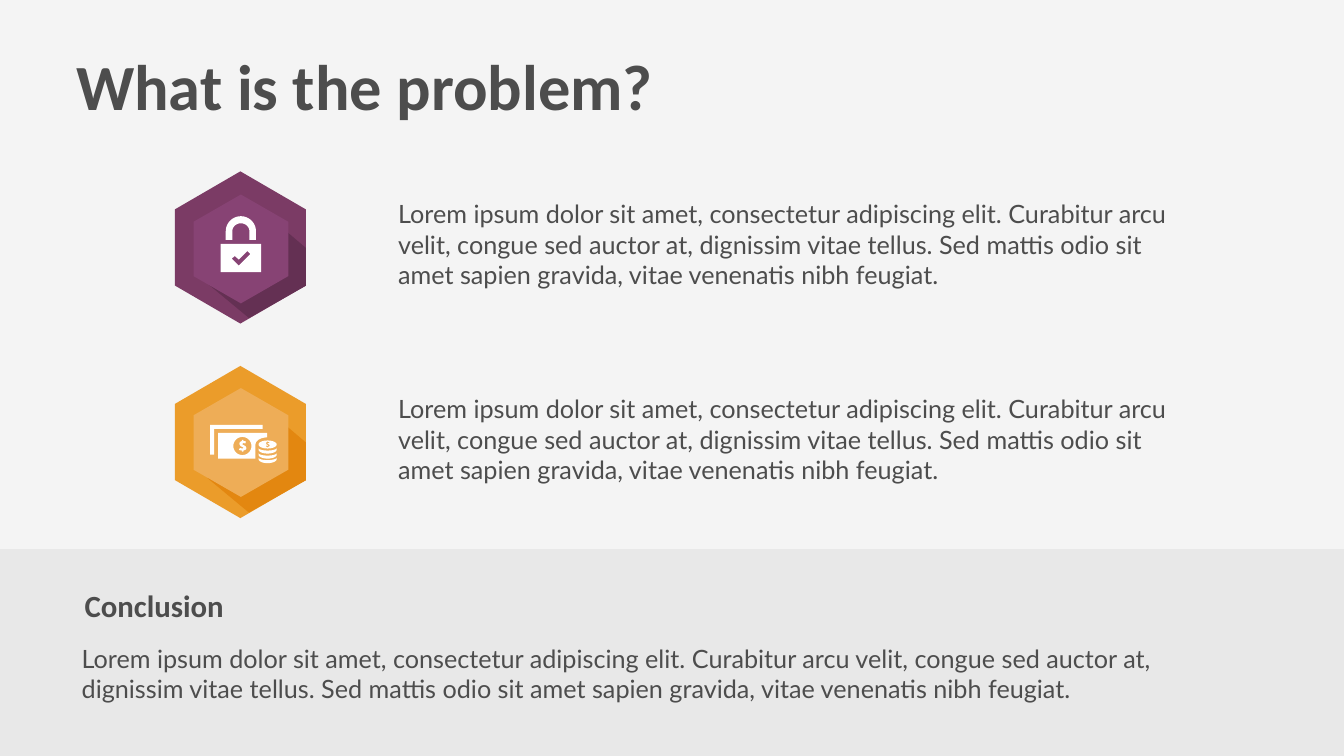
from math import cos, radians, sin

from pptx import Presentation
from pptx.dml.color import RGBColor
from pptx.enum.text import MSO_ANCHOR as Anchor, MSO_AUTO_SIZE as AutoSize, PP_ALIGN as Align
from pptx.util import Inches, Pt

BACKGROUND = RGBColor(0xF4, 0xF4, 0xF4)
BAND = RGBColor(0xE8, 0xE8, 0xE8)
INK = RGBColor(0x4D, 0x4D, 0x4D)
WHITE = RGBColor(0xFF, 0xFF, 0xFF)
PURPLE = RGBColor(0x7B, 0x3B, 0x65)
PURPLE_DARK = RGBColor(0x64, 0x30, 0x53)
PURPLE_LIGHT = RGBColor(0x87, 0x43, 0x74)
ORANGE = RGBColor(0xEB, 0x9C, 0x2A)
ORANGE_DARK = RGBColor(0xE3, 0x87, 0x10)
ORANGE_LIGHT = RGBColor(0xEE, 0xAD, 0x57)

LOREM = (
    "Lorem ipsum dolor sit amet, consectetur adipiscing elit. Curabitur arcu velit, "
    "congue sed auctor at, dignissim vitae tellus. Sed mattis odio sit amet sapien "
    "gravida, vitae venenatis nibh feugiat."
)
DOLLAR = [
    (0.08, 0.04), (0.07, 0.07), (0.02, 0.09), (0.02, 0.11), (-0.01, 0.11), (-0.01, 0.09),
    (-0.07, 0.08), (-0.05, 0.04), (0.01, 0.05), (0.02, 0.03), (-0.04, 0), (-0.06, -0.04),
    (-0.05, -0.08), (-0.01, -0.1), (-0.01, -0.12), (0.02, -0.12), (0.02, -0.1),
    (0.07, -0.09), (0.06, -0.05), (0.01, -0.06), (0, -0.03), (0.06, 0),
]


def rectangle(left, top, right, bottom):
    """Return the corners of a rectangle."""
    return [(left, top), (right, top), (right, bottom), (left, bottom)]


def arc(x, y, across, down, start=0, end=360, steps=32):
    """Return points along an elliptical arc, in degrees clockwise from the right."""
    angles = [radians(start + (end - start) * step / steps) for step in range(steps + 1)]
    return [(x + across * cos(angle), y + down * sin(angle)) for angle in angles]


def hexagon(x, y, across, down):
    """Return the corners of an upright hexagon."""
    return [(x, y - down), (x + across, y - down / 2), (x + across, y + down / 2),
            (x, y + down), (x - across, y + down / 2), (x - across, y - down / 2)]


def dollar(x, y, size):
    """Return the outline of a dollar sign."""
    return [(x + size * across, y + size * down) for across, down in DOLLAR]


def padlock():
    """Return the contours of the padlock icon."""
    body = rectangle(4.38, 4.84, 5.18, 5.4)
    check = [(4.97, 5.04), (4.91, 4.98), (4.74, 5.15), (4.66, 5.08), (4.6, 5.13), (4.74, 5.27)]
    outer = arc(4.78, 4.59, 0.3, 0.3, 180, 360)
    inner = arc(4.78, 4.59, 0.17, 0.16, 360, 180)
    shackle = [(4.48, 4.76), *outer, (5.08, 4.76), (4.95, 4.76), *inner, (4.61, 4.76)]
    return [body, check, shackle]


def money():
    """Return the contours of the banknotes and coins icon."""
    back_note = [(4.17, 8.43), (5.21, 8.43), (5.21, 8.51), (4.25, 8.51), (4.25, 9.02), (4.17, 9.02)]
    front_note = [(4.33, 8.59), (5.3, 8.59), *arc(5.3, 8.82, 0.23, 0.14, 270, 180),
                  (5.07, 9.1), (4.33, 9.1)]
    coins = [arc(5.31, y, 0.18, 0.08, 0, 180) + arc(5.31, y - 0.03, 0.18, 0.05, 180, 0)
             for y in (8.92, 9.02, 9.11)]
    top_coin = arc(5.31, 8.82, 0.18, 0.08)
    return [back_note, front_note, arc(4.81, 8.85, 0.18, 0.18), dollar(4.81, 8.85, 1),
            top_coin, dollar(5.31, 8.82, 0.52), *coins]


class SlideComposer:
    """Hold the text style and the current slide."""

    def __init__(self, page):
        self.page = page
        self.color = INK
        page.background.fill.solid()
        page.background.fill.fore_color.rgb = BACKGROUND

    def outline(self, contours, color):
        """Draw filled contours given in inches."""
        contours = [[(Inches(x), Inches(y)) for x, y in contour] for contour in contours]
        builder = self.page.shapes.build_freeform(*contours[0][0])
        builder.add_line_segments(contours[0][1:], close=True)
        for contour in contours[1:]:
            builder.move_to(*contour[0])
            builder.add_line_segments(contour[1:], close=True)
        shape = builder.convert_to_shape()
        shape.shadow.inherit = False
        shape.fill.solid()
        shape.fill.fore_color.rgb = color
        shape.line.fill.background()

    def set_text(self, box, text, font, size, bold=False, anchor=Anchor.TOP, inset=0):
        """Set one styled paragraph in a box."""
        frame = box.text_frame
        frame.word_wrap = True
        frame.auto_size = AutoSize.NONE
        frame.vertical_anchor = anchor
        frame.margin_left = frame.margin_right = Inches(inset)
        frame.margin_top = frame.margin_bottom = Inches(inset)
        para = frame.paragraphs[0]
        para.alignment = Align.LEFT
        para.space_before = Pt(0)
        span = para.add_run()
        span.text = text
        span.font.name = font
        span.font.size = Pt(size)
        span.font.bold = bold
        span.font.color.rgb = self.color

    def title(self, place, text):
        """Fill the title placeholder."""
        box = self.page.shapes.title
        box.left, box.top, box.width, box.height = map(Inches, place)
        self.set_text(box, text, "Calibri", 92, bold=True)

    def text(self, place, text, font="Lato", size=36, **style):
        """Add a text box."""
        box = self.page.shapes.add_textbox(*map(Inches, place))
        self.set_text(box, text, font, size, **style)

    def badge(self, middle, inner_middle, colors, icon):
        """Draw a hexagon badge with its long shadow and icon."""
        base, dark, light = colors
        shadow = [(4.94, 1.4), (6.07, 0.76), (6.07, 0.01), (5.67, -0.33), (4.12, 0.72)]
        self.outline([hexagon(4.77, middle, 1.3, 1.51)], base)
        self.outline([[(x, middle + y) for x, y in shadow]], dark)
        self.outline([hexagon(4.78, inner_middle, 0.94, 1.08)], light)
        self.outline(icon, WHITE)


def main():
    """Build and save the slide."""
    deck = Presentation()
    deck.slide_width, deck.slide_height = Inches(26.67), Inches(15)
    composer = SlideComposer(deck.slides.add_slide(deck.slide_layouts[5]))
    composer.title((1.51, 0.92, 15.96, 1.65), "What is the problem?")
    composer.badge(4.91, 4.94, (PURPLE, PURPLE_DARK, PURPLE_LIGHT), padlock())
    composer.badge(8.77, 8.78, (ORANGE, ORANGE_DARK, ORANGE_LIGHT), money())
    for top in (3.94, 7.81):
        composer.text((7.9, top, 15.71, 1.94), LOREM)
    composer.outline([rectangle(0, 10.9, 26.67, 15)], BAND)
    composer.text((1.62, 11.59, 22.85, 0.83), "Conclusion", "Calibri", 44,
                  bold=True, anchor=Anchor.MIDDLE, inset=0.06)
    composer.text((1.62, 12.76, 22.65, 1.33), LOREM)
    deck.save("out.pptx")


if __name__ == "__main__":
    main()
